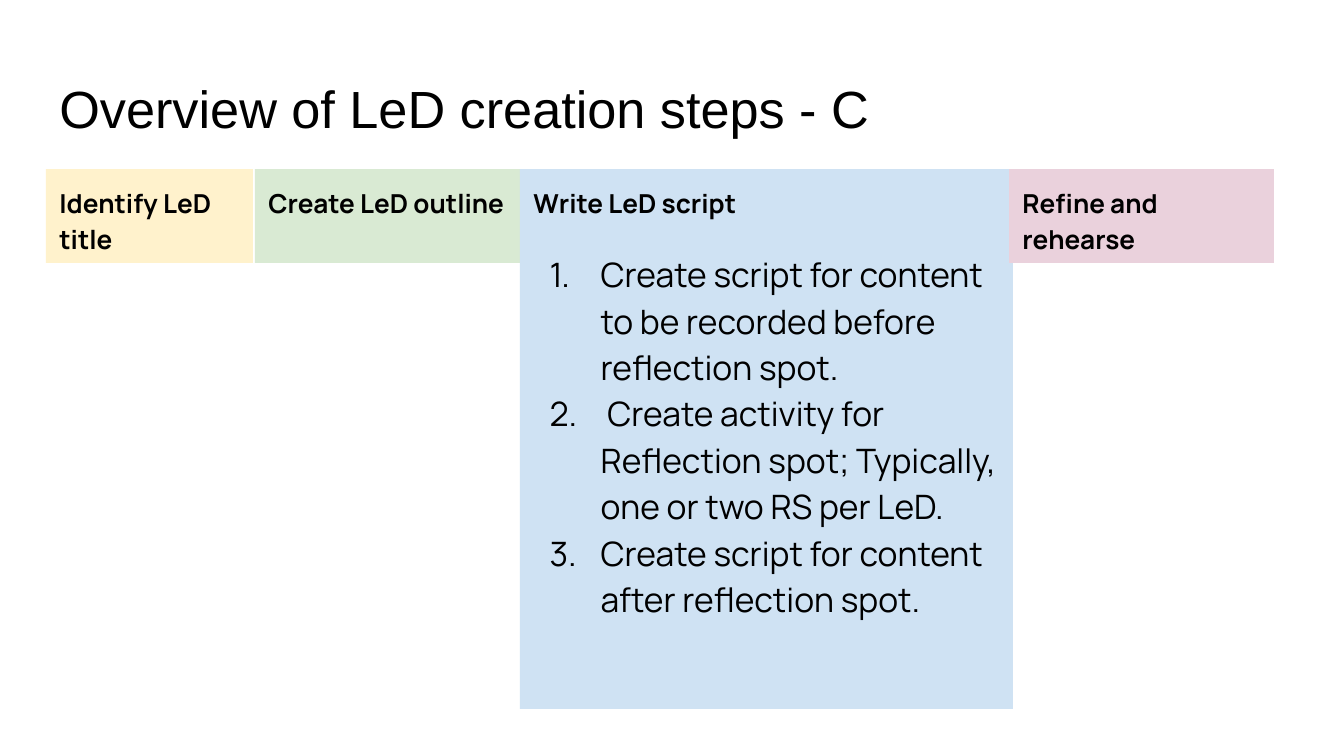
from pptx import Presentation
from pptx.dml.color import RGBColor
from pptx.enum.text import MSO_ANCHOR, MSO_AUTO_SIZE, PP_ALIGN
from pptx.oxml.xmlchemy import OxmlElement
from pptx.util import Emu, Inches, Pt

TITLE = "Overview of LeD creation steps - C"
SCRIPT_STEPS = [
    "Create script for content to be recorded before reflection spot.",
    " Create activity for Reflection spot; Typically, one or two RS per LeD.",
    "Create script for content after reflection spot.",
]
COLUMNS = [
    ("Identify LeD title", "FFF2CC", 46, 207, 94, []),
    ("Create LeD outline", "D9EAD3", 255, 265, 94, []),
    ("Write LeD script", "CFE2F3", 520, 493, 540, SCRIPT_STEPS),
    ("Refine and rehearse", "EAD1DC", 1009, 265, 94, []),
]
COLUMN_TOP = 169
BLACK = "000000"


def px(value):
    return Emu(round(value * 914400 / 134.4))


def color(value):
    return RGBColor.from_string(value)


def place(box, left, top, width, height, anchor):
    box.left, box.top, box.width, box.height = map(px, (left, top, width, height))
    frame = box.text_frame
    frame.word_wrap = True
    frame.auto_size = MSO_AUTO_SIZE.NONE
    frame.vertical_anchor = anchor
    frame.margin_left = frame.margin_right = Inches(0.1)
    frame.margin_top = frame.margin_bottom = Inches(0.1)
    return frame


def write(para, text, font, size, bold=False):
    para.alignment = PP_ALIGN.LEFT
    span = para.add_run()
    span.text = text
    span.font.name = font
    span.font.size = Pt(size)
    span.font.bold = bold
    span.font.color.rgb = color(BLACK)


def set_bullet(para, numbered):
    properties = para._p.get_or_add_pPr()
    properties.set("marL", str(Inches(0.5) if numbered else 0))
    properties.set("indent", str(Inches(-0.38) if numbered else 0))
    bullet = OxmlElement("a:buAutoNum" if numbered else "a:buNone")
    if numbered:
        bullet.set("type", "arabicPeriod")
    properties.append(bullet)


def fill_column(box, heading, fill, left, width, height, steps):
    frame = place(box, left, COLUMN_TOP, width, height, MSO_ANCHOR.TOP)
    box.fill.solid()
    box.fill.fore_color.rgb = color(fill)
    for index, text in enumerate([heading, *steps]):
        para = frame.add_paragraph() if index else frame.paragraphs[0]
        para.line_spacing = 1.15
        para.space_before = Pt(16 if index == 1 else 0)
        para.space_after = Pt(0 if steps else 16)
        set_bullet(para, index > 0)
        write(para, text, "Manrope", 18 if index else 14, bold=index == 0)


deck = Presentation()
deck.slide_width, deck.slide_height = px(1344), px(756)
page = deck.slides.add_slide(deck.slide_layouts.get_by_name("Comparison"))

title = place(page.shapes.title, 46, 66, 1252, 84, MSO_ANCHOR.MIDDLE)
write(title.paragraphs[0], TITLE, "Arial", 28)

bodies = [box for box in page.placeholders if box.placeholder_format.idx > 0]
for box, column in zip(bodies, COLUMNS):
    fill_column(box, *column)

deck.save("out.pptx")
